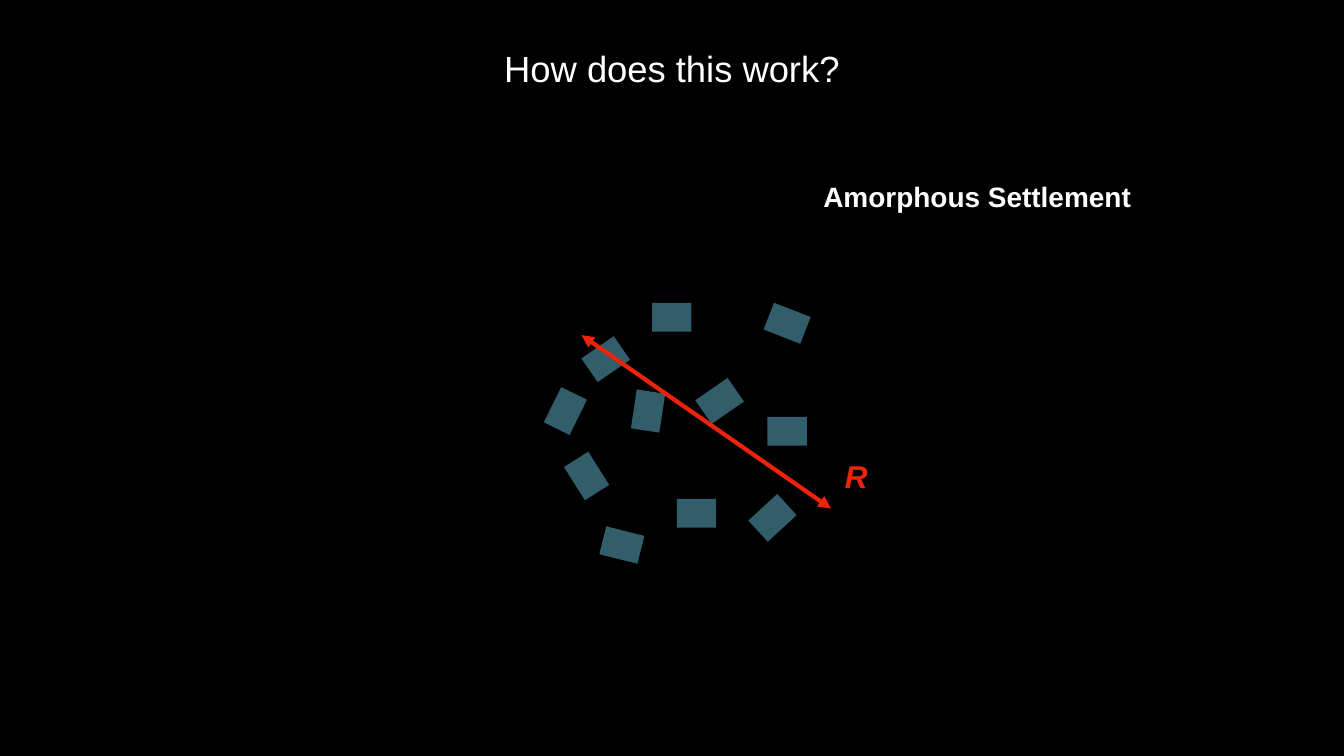
import pptx
import pptx.dml.color
import pptx.enum.shapes
import pptx.enum.text
import pptx.oxml.ns
import pptx.util
import lxml.etree

Inches = pptx.util.Inches
RED = "EE230C"
WHITE = "FFFFFF"


def tint(color, code):
    color.rgb = pptx.dml.color.RGBColor.from_string(code)


def write(shape, box, text, size, code, bold=False, slant=False):
    shape.left, shape.top, shape.width, shape.height = map(Inches, box)
    frame = shape.text_frame
    frame.text = text
    frame.word_wrap = False
    frame.auto_size = pptx.enum.text.MSO_AUTO_SIZE.NONE
    frame.vertical_anchor = pptx.enum.text.MSO_ANCHOR.MIDDLE
    frame.margin_left = frame.margin_right = Inches(0.06)
    frame.margin_top = frame.margin_bottom = Inches(0.06)
    line = frame.paragraphs[0]
    line.alignment = pptx.enum.text.PP_ALIGN.CENTER
    line.font.name = "Arial"
    line.font.size = pptx.util.Pt(size)
    line.font.bold = bold
    line.font.italic = slant
    tint(line.font.color, code)


deck = pptx.Presentation()
deck.slide_width = Inches(26.67)
deck.slide_height = Inches(15)
slide = deck.slides.add_slide(deck.slide_layouts[5])
slide.background.fill.solid()
tint(slide.background.fill.fore_color, "000000")
shapes = slide.shapes

houses = [
    (11.63, 6.84, 325.5),
    (13.89, 7.67, 325.3),
    (11.25, 9.16, 57.8),
    (13.43, 9.9, 0),
    (15.23, 8.27, 0),
    (11.95, 10.53, 14),
    (12.94, 6.01, 0),
    (15.23, 6.13, 21.3),
    (10.83, 7.87, 296.3),
    (14.94, 9.99, 317.4),
    (12.47, 7.87, 278.7),
]
for left, top, angle in houses:
    house = shapes.add_shape(
        pptx.enum.shapes.MSO_SHAPE.RECTANGLE,
        Inches(left), Inches(top), Inches(0.78), Inches(0.57))
    house.rotation = angle
    house.shadow.inherit = False
    house.fill.solid()
    tint(house.fill.fore_color, "325D6B")
    house.line.fill.background()

write(shapes.title, (9.87, 0.87, 6.93, 0.95), "How does this work?", 52, WHITE)

label = shapes.add_textbox(0, 0, 0, 0)
write(label, (16.3, 3.51, 6.18, 0.78), "Amorphous Settlement", 40, WHITE, bold=True)

arrow = shapes.add_connector(
    pptx.enum.shapes.MSO_CONNECTOR.STRAIGHT,
    Inches(16.49), Inches(10.09), Inches(11.54), Inches(6.65))
arrow.line.width = pptx.util.Pt(6)
tint(arrow.line.color, RED)
qn = pptx.oxml.ns.qn
props = arrow.element.find(qn("p:spPr"))
for end in ("a:headEnd", "a:tailEnd"):
    lxml.etree.SubElement(props.find(qn("a:ln")), qn(end), type="triangle")
lxml.etree.SubElement(props, qn("a:effectLst"))

radius = shapes.add_textbox(0, 0, 0, 0)
write(radius, (16.7, 9.02, 0.58, 0.86), "R", 45, RED, bold=True, slant=True)

deck.save("out.pptx")
